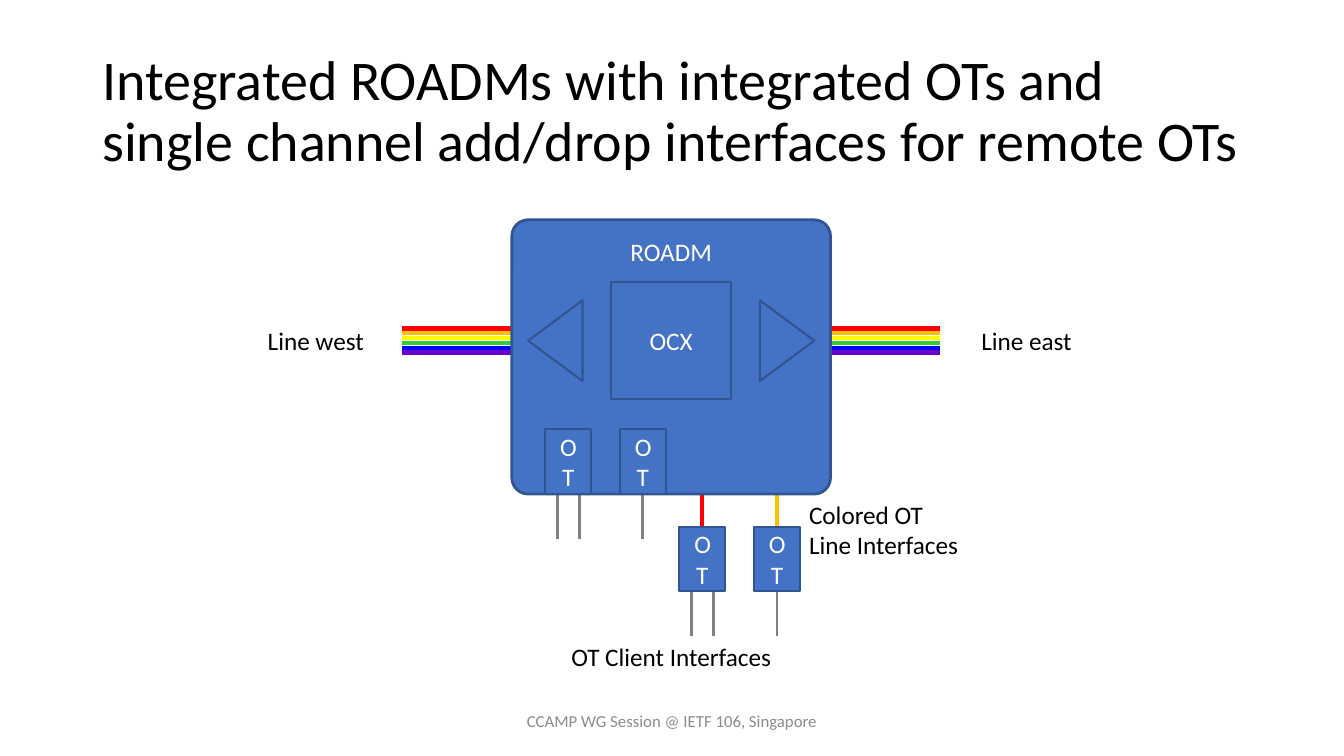
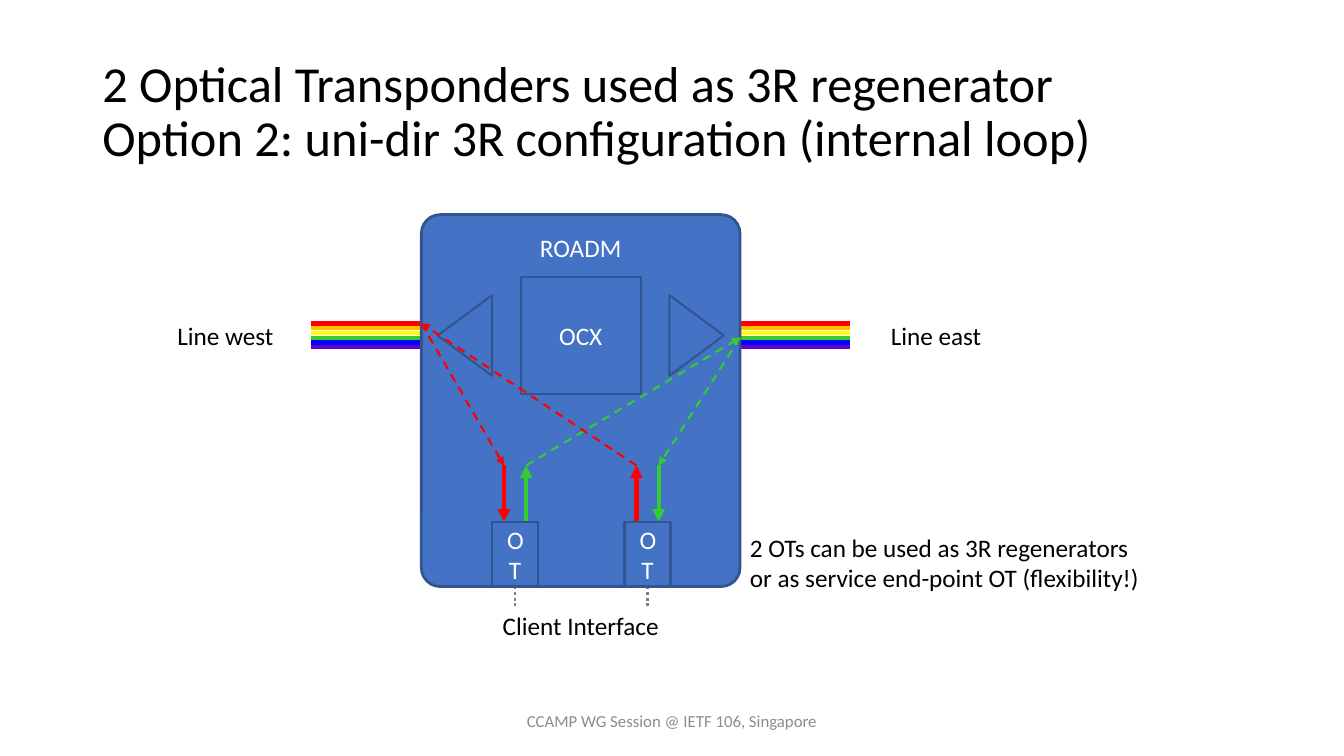
from pptx import Presentation
from pptx.dml.color import RGBColor as RGB
from pptx.enum.dml import MSO_LINE as Dash
from pptx.enum.shapes import MSO_CONNECTOR as Link, MSO_SHAPE as Form
from pptx.enum.text import MSO_ANCHOR as Anchor, MSO_AUTO_SIZE as Fit, PP_ALIGN as Align
from pptx.oxml.ns import qn
from pptx.util import Cm, Pt
from lxml.etree import SubElement

HUE = {
    "black": "000000", "white": "FFFFFF", "foot": "8C8C8C", "gray": "808080",
    "fill": "4472C4", "edge": "325491",
    "red": "FF0000", "gold": "FFC000", "yellow": "FFFF00",
    "green": "33CC33", "blue": "0000FF", "violet": "6600CC",
}
FONT = "Calibri"
RAYS = ["red", "gold", "yellow", "green", "blue", "violet"]
RAY_TOP, RAY_STEP, RAY_LEN = 2.74, 0.12, 2.77
OT_W, OT_H = 1.16, 1.63
MID, PAIR = OT_W / 2, 0.28
TEXT_H, NOTE_H = 1.02, 1.8


def tone(name):
    """Return the named colour."""
    return RGB.from_string(HUE[name])


def write(frame, text, size=18, hue="black", align=Align.CENTER, anchor=Anchor.TOP):
    """Fill a text frame and format its runs."""
    frame.text = text
    frame.word_wrap = True
    frame.vertical_anchor = anchor
    para = frame.paragraphs[0]
    para.alignment = align
    for run in para.runs:
        run.font.name = FONT
        run.font.size = Pt(size)
        run.font.color.rgb = tone(hue)
    return para


def label(slide, box, text, grow=True, **style):
    """Place plain text in a box."""
    frame = slide.shapes.add_textbox(*map(Cm, box)).text_frame
    para = write(frame, text, **style)
    frame.auto_size = Fit.SHAPE_TO_FIT_TEXT if grow else Fit.NONE
    return para


def block(slide, form, box, text="", width=1.5, anchor=Anchor.MIDDLE):
    """Place a blue shape with white text."""
    shape = slide.shapes.add_shape(form, *map(Cm, box))
    shape.shadow.inherit = False
    shape.fill.solid()
    shape.fill.fore_color.rgb = tone("fill")
    shape.line.color.rgb = tone("edge")
    shape.line.width = Pt(width)
    if text:
        write(shape.text_frame, text, hue="white", anchor=anchor)
    return shape


def line(slide, start, end, hue, width=3, dash=None, tip=False):
    """Draw a line, with an arrow tip at its end on request."""
    link = slide.shapes.add_connector(Link.STRAIGHT, *map(Cm, (*start, *end)))
    link.line.color.rgb = tone(hue)
    link.line.width = Pt(width)
    if dash:
        link.line.dash_style = dash
    if tip:
        SubElement(link.line._get_or_add_ln(), qn("a:tailEnd"), type="triangle")
    SubElement(link._element.spPr, qn("a:effectLst"))


def page(deck, title, size):
    """Add a slide with its title and footer."""
    slide = deck.slides.add_slide(deck.slide_layouts[6])
    para = label(slide, (2.33, 1.01, 29.21, 3.68), title, grow=False,
                 size=size, align=Align.LEFT, anchor=Anchor.MIDDLE)
    para.line_spacing = 0.9
    label(slide, (11.22, 17.66, 11.43, 1.01), "CCAMP WG Session @ IETF 106, Singapore",
          grow=False, size=12, hue="foot", anchor=Anchor.MIDDLE)
    return slide


def node(slide, box):
    """Draw the ROADM in its box, with the lines on both sides."""
    x, y, w, h = box
    for left in (x - RAY_LEN, x + w):
        for i, hue in enumerate(RAYS):
            top = y + RAY_TOP + i * RAY_STEP
            line(slide, (left + RAY_LEN, top), (left, top), hue)
    body = block(slide, Form.ROUNDED_RECTANGLE, box, "ROADM", 2, Anchor.TOP)
    body.adjustments[0] = 0.059
    body.text_frame.margin_top = Cm(0.3)

    base, rise, inset = 2.03, 1.37, 0.08
    for left, turn in ((x + inset, 270), (x + w - inset - base, 90)):
        amp = block(slide, Form.ISOSCELES_TRIANGLE, (left, y + 2.36, base, rise))
        amp.rotation = turn
    core = 3.03
    block(slide, Form.RECTANGLE, (x + (w - core) / 2, y + 1.57, core, 2.95), "OCX")

    gap, wide = 3.38, 3.12
    for left, text in ((x - gap - wide, "Line west"), (x + w + gap, "Line east")):
        label(slide, (left, y + 2.53, wide, TEXT_H), text)


def card(slide, x, y):
    """Draw one OT at the given corner."""
    block(slide, Form.RECTANGLE, (x, y, OT_W, OT_H), "OT")


def leads(slide, x, y, count, size=1.12, dash=None):
    """Draw the client lines under the OT at the given corner."""
    for shift in ((0,) if count == 1 else (-PAIR, PAIR)):
        mid, top = x + MID + shift, y + OT_H
        line(slide, (mid, top), (mid, top + size), "gray", 2, dash)


def caption(slide, box, text, drop):
    """Centre a line of text below the box."""
    x, y, w, h = box
    wide = 6.76
    label(slide, (x + (w - wide) / 2, y + h + drop, wide, TEXT_H), text)


def remote(deck, box):
    """Build the slide with inner and remote OTs."""
    slide = page(deck, "Integrated ROADMs with integrated OTs and "
                 "single channel add/drop interfaces for remote OTs", 40)
    x, y, w, h = box
    pitch, stem = 1.88, 1.4
    inner, outer = y + h - OT_H, y + h + 0.82
    cards = [(x + first + i * pitch, top, 2 - i)
             for first, top in ((0.84, inner), (4.22, outer)) for i in range(2)]
    for left, top, count in cards:
        leads(slide, left, top, count)
    for (left, top, _), hue in zip(cards[2:], ("red", "gold")):
        line(slide, (left + MID, top - stem), (left + MID, top), hue)
    node(slide, box)
    for left, top, _ in cards:
        card(slide, left, top)
    caption(slide, box, "OT Client Interfaces", 3.58)
    label(slide, (x + 7.24, y + h, 5, NOTE_H), "Colored OT\vLine Interfaces",
          align=Align.LEFT)


def loop(deck, box):
    """Build the slide with two OTs as a regenerator."""
    slide = page(deck, "2 Optical Transponders used as 3R regenerator\v"
                 "Option 2: uni-dir 3R configuration (internal loop)", 36)
    x, y, w, h = box
    top = y + h - OT_H
    peak = top - 1.42
    cards = (x + 1.78, x + 5.12)
    for left in cards:
        leads(slide, left, top, 1, 0.48, Dash.ROUND_DOT)
    node(slide, box)

    ports = {"red": (x, y + RAY_TOP), "green": (x + w, y + RAY_TOP + 3 * RAY_STEP)}
    for left, down, up in zip(cards, ("red", "green"), ("green", "red")):
        side = PAIR if down == "red" else -PAIR
        fall, climb = left + MID - side, left + MID + side
        line(slide, ports[down], (fall, peak), down, 1.5, Dash.DASH, True)
        line(slide, (climb, peak), ports[up], up, 1.5, Dash.DASH, True)
        line(slide, (fall, peak), (fall, top), down, tip=True)
        line(slide, (climb, top), (climb, peak), up, tip=True)
        card(slide, left, top)
    label(slide, (x + w, y + 7.87, 10.44, NOTE_H),
          "2 OTs can be used as 3R regenerators\v"
          "or as service end-point OT (flexibility!)", align=Align.LEFT)
    caption(slide, box, "Client Interface", 0.48)


deck = Presentation()
deck.slide_width, deck.slide_height = Cm(33.87), Cm(19.05)
remote(deck, (12.9, 5.54, 8.03, 6.91))
loop(deck, (10.62, 5.41, 8.03, 9.37))
deck.save("out.pptx")
